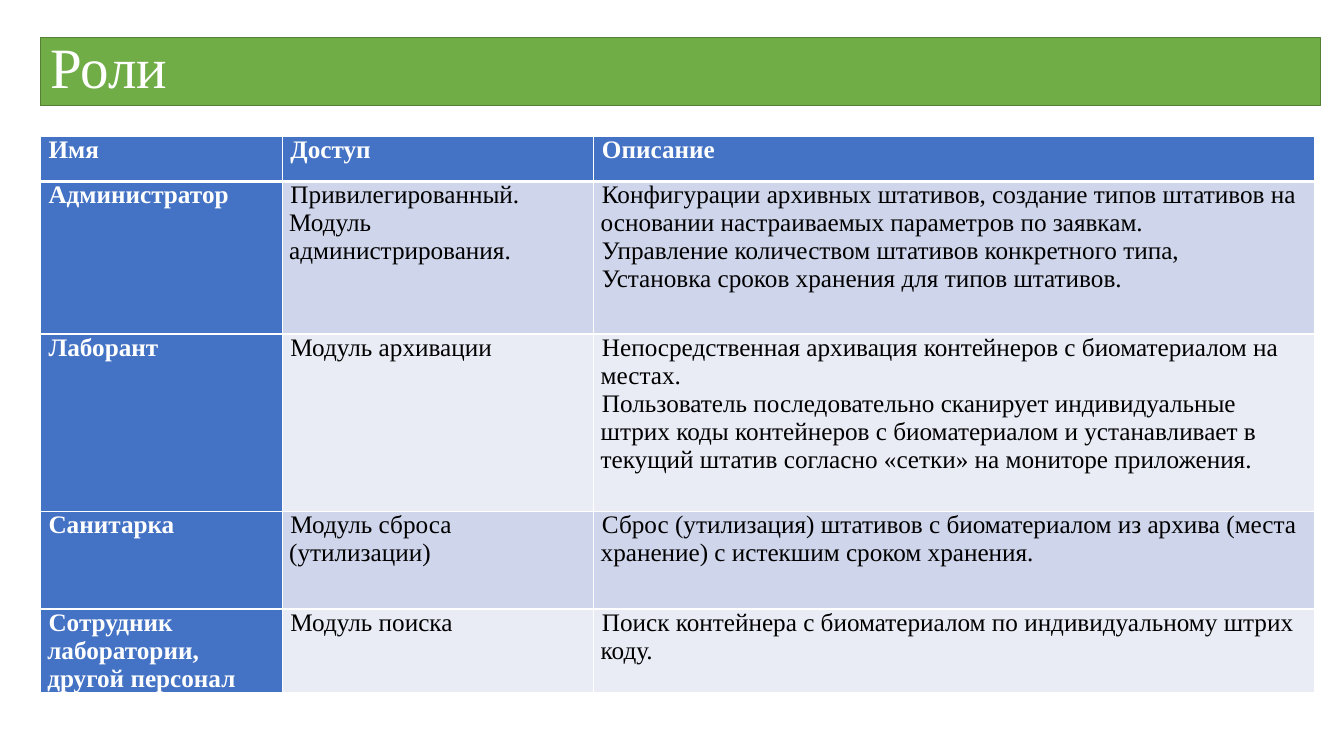
import dataclasses

import lxml.etree
import pptx
import pptx.dml.color
import pptx.enum.shapes
import pptx.enum.text
import pptx.oxml.ns
import pptx.util

Pt = pptx.util.Pt


@dataclasses.dataclass(frozen=True)
class Theme:
    font: str = "Times New Roman"
    title_size: float = 40.7
    table_size: float = 18
    title_fill: str = "70AD47"
    title_line: str = "538035"
    header_fill: str = "4472C4"
    band_fills: tuple = ("CFD5EA", "E9EBF5")
    light: str = "FFFFFF"
    dark: str = "000000"


THEME = Theme()
COLUMN_WIDTHS = (172.8, 222.5, 514.8)
ROW_HEIGHTS = (32.4, 109, 126.7, 69.8, 60)
ROLES = (
    ("Имя", "Доступ", "Описание"),
    (
        "Администратор",
        "Привилегированный. Модуль администрирования.",
        "Конфигурации архивных штативов, создание типов штативов на основании "
        "настраиваемых параметров по заявкам.\n"
        "Управление количеством штативов конкретного типа,\n"
        "Установка сроков хранения для типов штативов.",
    ),
    (
        "Лаборант",
        "Модуль архивации",
        "Непосредственная архивация контейнеров с биоматериалом на местах.\n"
        "Пользователь последовательно сканирует индивидуальные штрих коды контейнеров "
        "с биоматериалом и устанавливает в текущий штатив согласно «сетки» "
        "на мониторе приложения.",
    ),
    (
        "Санитарка",
        "Модуль сброса (утилизации)",
        "Сброс (утилизация) штативов с биоматериалом из архива (места хранение) "
        "с истекшим сроком хранения.",
    ),
    (
        "Сотрудник лаборатории, другой персонал",
        "Модуль поиска",
        "Поиск контейнера с биоматериалом по индивидуальному штрих коду.",
    ),
)


def rgb(value):
    return pptx.dml.color.RGBColor.from_string(value)


def format_runs(paragraph, size, color, bold=False):
    for run in paragraph.runs:
        run.font.name = THEME.font
        run.font.size = Pt(size)
        run.font.bold = bold
        run.font.color.rgb = rgb(color)


def add_title(slide, text):
    shape = slide.shapes.add_shape(
        pptx.enum.shapes.MSO_SHAPE.RECTANGLE, Pt(28.8), Pt(26.9), Pt(914.4), Pt(48.7)
    )
    shape.shadow.inherit = False
    shape.fill.solid()
    shape.fill.fore_color.rgb = rgb(THEME.title_fill)
    shape.line.color.rgb = rgb(THEME.title_line)
    shape.line.width = Pt(1)
    shape.text_frame.text = text
    shape.text_frame.word_wrap = True
    shape.text_frame.vertical_anchor = pptx.enum.text.MSO_ANCHOR.MIDDLE
    paragraph = shape.text_frame.paragraphs[0]
    paragraph.alignment = pptx.enum.text.PP_ALIGN.LEFT
    paragraph.line_spacing = 0.8
    format_runs(paragraph, THEME.title_size, THEME.light)


def set_borders(cell, top, bottom):
    properties = cell._tc.get_or_add_tcPr()
    widths = {"a:lnL": 1, "a:lnR": 1, "a:lnT": top, "a:lnB": bottom}
    qn = pptx.oxml.ns.qn
    for position, (tag, width) in enumerate(widths.items()):
        border = lxml.etree.Element(qn(tag), w=str(Pt(width)))
        fill = lxml.etree.SubElement(border, qn("a:solidFill"))
        lxml.etree.SubElement(fill, qn("a:srgbClr"), val=THEME.light)
        properties.insert(position, border)


def fill_cell(cell, text, row, column):
    is_heading = row == 0 or column == 0
    cell.fill.solid()
    cell.fill.fore_color.rgb = rgb(
        THEME.header_fill if is_heading else THEME.band_fills[(row - 1) % 2]
    )
    cell.margin_left = cell.margin_right = Pt(5)
    cell.margin_top = cell.margin_bottom = 0
    set_borders(cell, 3 if row == 1 else 1, 3 if row == 0 else 1)
    cell.text_frame.text = text
    for paragraph in cell.text_frame.paragraphs:
        paragraph._p.get_or_add_pPr().set("indent", str(Pt(0.9)))
        color = THEME.light if is_heading else THEME.dark
        format_runs(paragraph, THEME.table_size, color, is_heading)


def add_roles_table(slide):
    table = slide.shapes.add_table(
        len(ROLES), len(COLUMN_WIDTHS), Pt(28.8), Pt(97.2),
        Pt(sum(COLUMN_WIDTHS)), Pt(sum(ROW_HEIGHTS)),
    ).table
    for column, width in zip(table.columns, COLUMN_WIDTHS):
        column.width = Pt(width)
    for row, height in zip(table.rows, ROW_HEIGHTS):
        row.height = Pt(height)
    for row, texts in enumerate(ROLES):
        for column, text in enumerate(texts):
            fill_cell(table.cell(row, column), text, row, column)


def main():
    presentation = pptx.Presentation()
    presentation.slide_width = Pt(960)
    presentation.slide_height = Pt(540)
    slide = presentation.slides.add_slide(presentation.slide_layouts[6])
    add_title(slide, "Роли")
    add_roles_table(slide)
    presentation.save("out.pptx")


if __name__ == "__main__":
    main()
